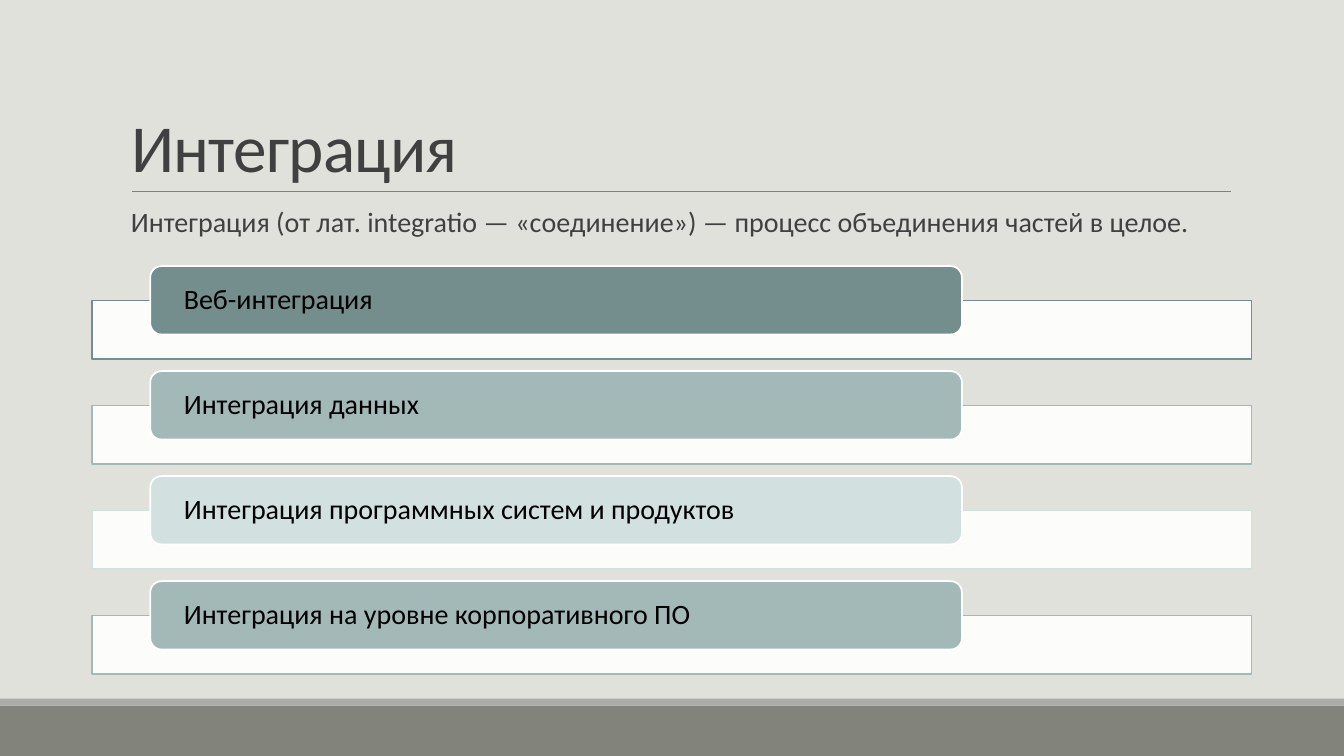
"""Build the slide on integration: a definition and four kinds as overlapping cards."""
from lxml import etree
from pptx import Presentation
from pptx.dml.color import RGBColor
from pptx.enum.shapes import MSO_CONNECTOR, MSO_SHAPE
from pptx.enum.text import MSO_ANCHOR, MSO_AUTO_SIZE, PP_ALIGN
from pptx.oxml.ns import qn
from pptx.util import Inches, Pt

COLORS = {
    "background": "E1E1DB", "footer": "82847C", "footer_edge": "ACADA8",
    "rule": "808080", "heading": "404040", "label": "000000", "white": "FFFFFF",
    "dark": "748D8D", "medium": "A2B9B8", "light": "D3E0E0",
}
KINDS = [
    ("Веб-интеграция", "dark"),
    ("Интеграция данных", "medium"),
    ("Интеграция программных систем и продуктов", "light"),
    ("Интеграция на уровне корпоративного ПО", "medium"),
]
RGB = {name: RGBColor.from_string(value) for name, value in COLORS.items()}

prs = Presentation()
prs.slide_width, prs.slide_height = Inches(13.33), Inches(7.5)
COL, ROW = prs.slide_width / 100, prs.slide_height / 100
slide = prs.slides.add_slide(prs.slide_layouts[5])
slide.background.fill.solid()
slide.background.fill.fore_color.rgb = RGB["background"]


def add_block(kind, left, top, width, height, fill, line=None):
    """Add a filled shape placed in hundredths of the slide."""
    block = slide.shapes.add_shape(
        kind, int(left * COL), int(top * ROW), int(width * COL), int(height * ROW))
    block.shadow.inherit = False
    block.fill.solid()
    block.fill.fore_color.rgb = RGB[fill]
    if line:
        block.line.color.rgb = RGB[line]
        block.line.width = Pt(1.25)
    else:
        block.line.fill.background()
    return block


def write_text(shape, text, size, color, spacing, anchor, inset, pad):
    """Fill a shape with one left-aligned paragraph."""
    frame = shape.text_frame
    frame.word_wrap = True
    frame.auto_size = MSO_AUTO_SIZE.NONE
    frame.vertical_anchor = anchor
    frame.margin_left = frame.margin_right = Inches(inset)
    frame.margin_top = frame.margin_bottom = Inches(pad)
    paragraph = frame.paragraphs[0]
    paragraph.alignment = PP_ALIGN.LEFT
    paragraph.line_spacing = spacing
    run = paragraph.add_run()
    run.text = text
    run.font.name, run.font.size = "Calibri", Pt(size)
    run.font.color.rgb = RGB[color]
    return run


add_block(MSO_SHAPE.RECTANGLE, 0, 93.33, 100, 6.67, "footer")
add_block(MSO_SHAPE.RECTANGLE, 0, 92.4, 100, 0.93, "footer_edge")

rule = slide.shapes.add_connector(
    MSO_CONNECTOR.STRAIGHT, int(9.83 * COL), int(25.3 * ROW), int(91.6 * COL), int(25.3 * ROW))
rule.line.color.rgb = RGB["rule"]
rule.line.width = Pt(0.5)
etree.SubElement(rule._element.spPr, qn("a:effectLst"))

title = slide.shapes.title
title.left, title.top = int(9 * COL), int(4.15 * ROW)
title.width, title.height = int(82.5 * COL), int(21.2 * ROW)
heading = write_text(title, "Интеграция", 48, "heading", 0.85, MSO_ANCHOR.BOTTOM, 0.1, 0.05)
heading.font._element.set("spc", "-50")

definition = slide.shapes.add_textbox(
    int(9 * COL), int(26.95 * ROW), int(82.5 * COL), int(7 * ROW))
write_text(
    definition,
    "Интеграция (от лат. integratio — «соединение») — процесс объединения частей в целое.",
    20, "heading", 0.9, MSO_ANCHOR.TOP, 0.1, 0.05)

for index, (label, color) in enumerate(KINDS):
    top = 35.2 + index * 13.89
    bar = add_block(MSO_SHAPE.RECTANGLE, 6.87, top + 4.55, 86.25, 7.75, "white", color)
    bar_color = bar.fill._xPr.find(qn("a:solidFill"))[0]
    etree.SubElement(bar_color, qn("a:alpha"), val="90000")
    card = add_block(MSO_SHAPE.ROUNDED_RECTANGLE, 11.18, top, 60.4, 9.05, color, "white")
    write_text(card, label, 20, "label", 0.9, MSO_ANCHOR.MIDDLE, 0.3, 0)

prs.save("out.pptx")
